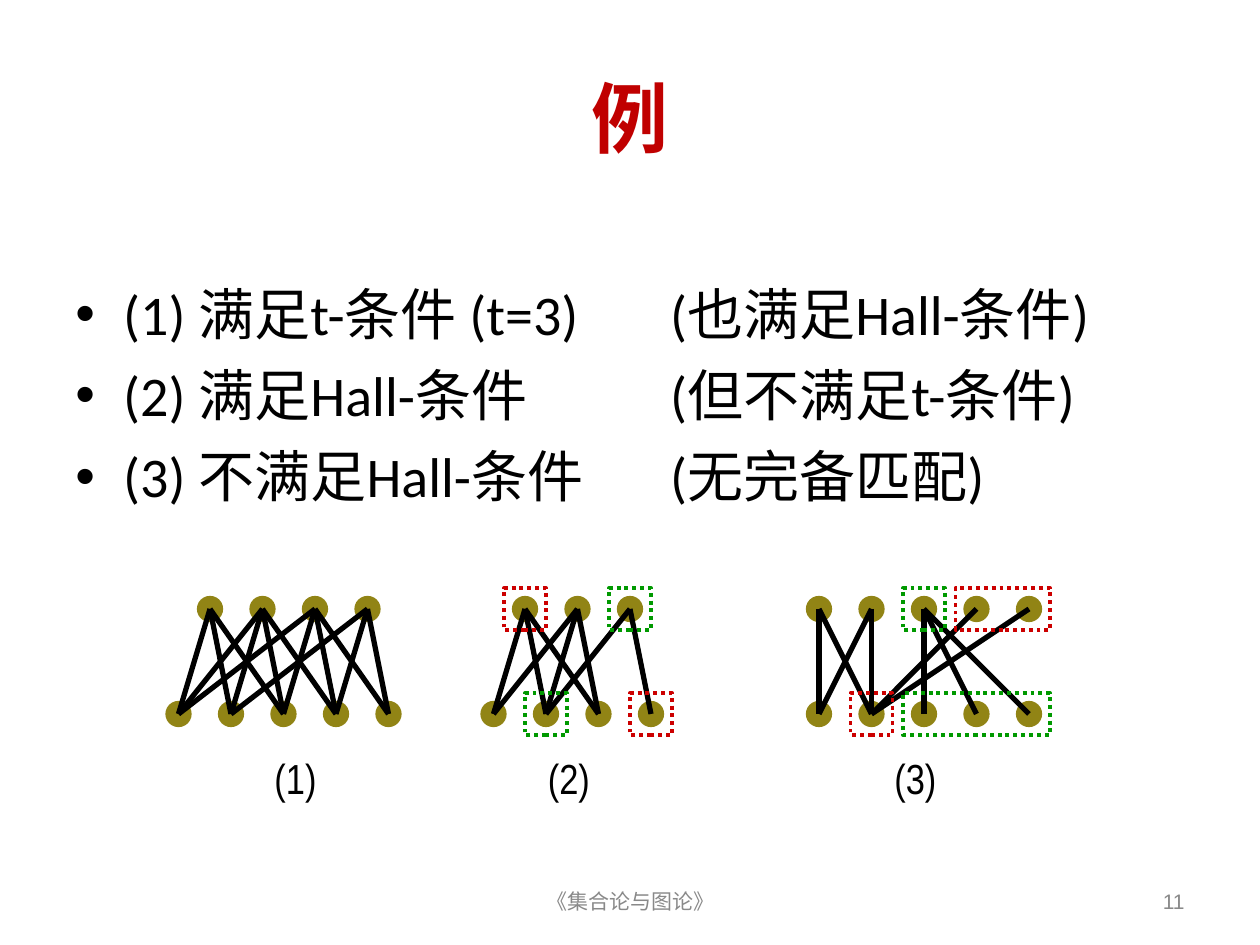
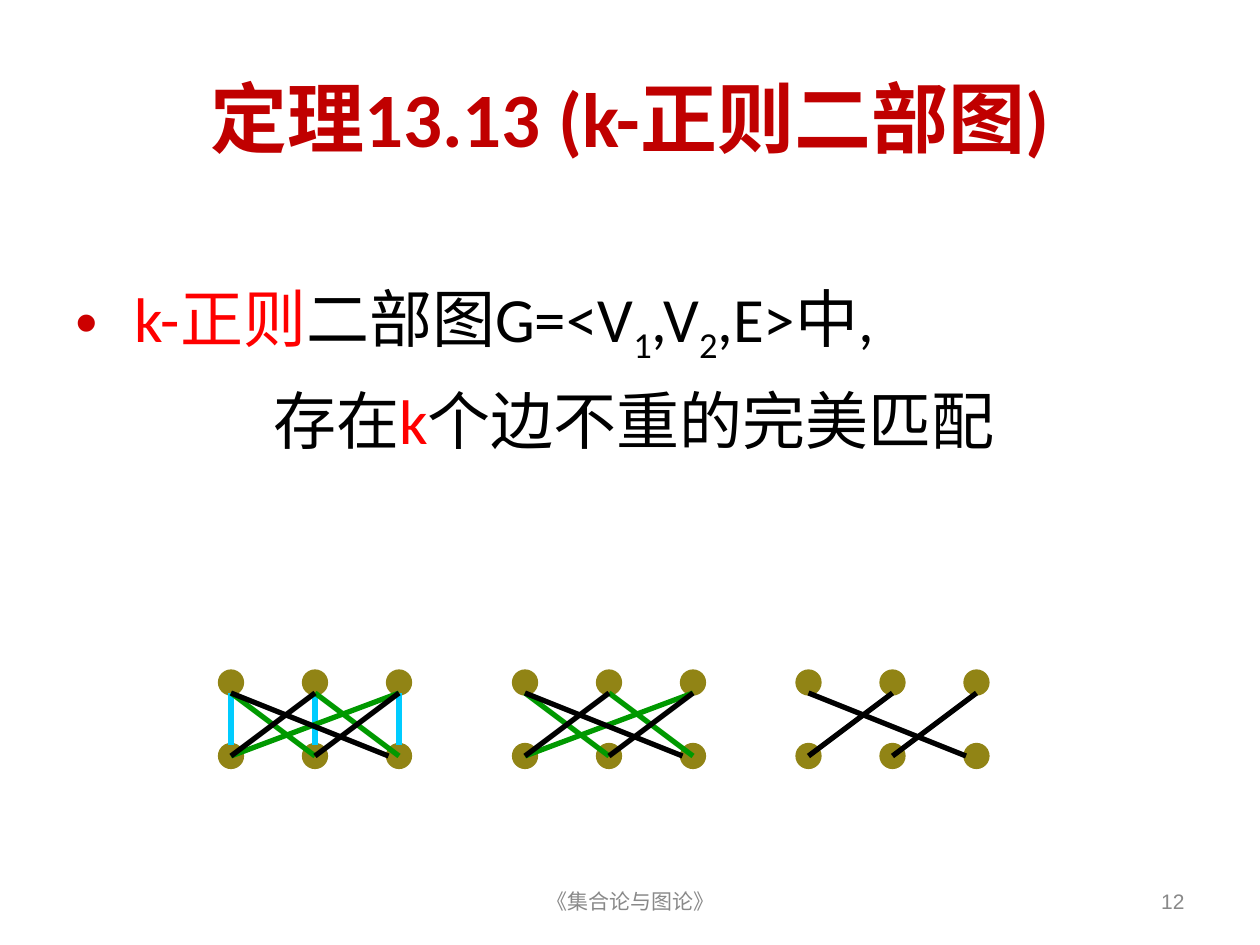
from lxml import etree
from pptx import Presentation
from pptx import util as u
from pptx.dml.color import RGBColor
from pptx.enum import dml, shapes, text
from pptx.oxml import ns

BLACK = RGBColor(0, 0, 0)
CRIMSON = RGBColor(0xC0, 0, 0)
RED = RGBColor(0xCC, 0, 0)
BRIGHT = RGBColor(0xFF, 0, 0)
GREEN = RGBColor(0, 0x99, 0)
CYAN = RGBColor(0, 0xCC, 0xFF)
OLIVE = RGBColor(0x91, 0x84, 0x15)
GRAY = RGBColor(0x89, 0x89, 0x89)

ALIGN = text.PP_ALIGN
MIDDLE = text.MSO_ANCHOR.MIDDLE


def cell(n):
    """Length of n grid cells; the graphs sit on a grid of 1/12 inch."""
    return u.Inches(n / 12)


def add_box(slide, box, anchor=text.MSO_ANCHOR.TOP):
    frame = slide.shapes.add_textbox(*map(u.Inches, box)).text_frame
    frame.word_wrap = True
    frame.vertical_anchor = anchor
    return frame


def add_run(para, words, size, color=BLACK, face="Calibri", bold=False, base=0):
    run = para.add_run()
    run.text = words
    font = run.font
    font.size, font.name, font.bold = u.Pt(size), face, bold
    font.color.rgb = color
    if base:
        font._element.set("baseline", str(base * 1000))


def add_line(slide, box, words, size, align, **style):
    para = add_box(slide, box, MIDDLE).paragraphs[0]
    para.alignment = align
    add_run(para, words, size, **style)


def set_list(para, left, hang=0, color=None, tab=None):
    """Indent a paragraph, with a bullet if a color is given."""
    props = para._p.get_or_add_pPr()
    props.set("marL", str(u.Inches(left)))
    props.set("indent", str(-u.Inches(hang)))

    def add(parent, tag, **attrs):
        return etree.SubElement(parent, ns.qn(tag), **attrs)

    if color is None:
        add(props, "a:buNone")
    else:
        add(add(props, "a:buClr"), "a:srgbClr", val=str(color))
        add(props, "a:buFont", typeface="Arial")
        add(props, "a:buChar", char="•")
    if tab:
        add(add(props, "a:tabLst"), "a:tab", pos=str(u.Inches(tab)), algn="l")


def add_frame(deck, title, number):
    """Start a slide with its title, footer and page number."""
    slide = deck.slides.add_slide(deck.slide_layouts[6])
    add_line(slide, (0.5, 0.3, 9, 1.25), title, 44, ALIGN.CENTER,
             color=CRIMSON, bold=True)
    foot = dict(color=GRAY, face="Arial")
    add_line(slide, (3.42, 6.95, 3.17, 0.4), "《集合论与图论》", 12,
             ALIGN.CENTER, **foot)
    add_line(slide, (7.17, 6.95, 2.33, 0.4), str(number), 12,
             ALIGN.RIGHT, **foot)
    return slide


def add_dots(slide, left, y, count, step):
    """Draw a row of nodes, the first one centred on (left, y)."""
    for i in range(count):
        dot = slide.shapes.add_shape(
            shapes.MSO_SHAPE.OVAL, cell(left + i * step - 1), cell(y - 1),
            cell(2), cell(2))
        dot.shadow.inherit = False
        dot.fill.solid()
        dot.fill.fore_color.rgb = OLIVE
        dot.line.color.rgb = OLIVE
        dot.line.width = u.Pt(3)


def add_edge(slide, start, end, color=BLACK):
    edge = slide.shapes.add_connector(
        shapes.MSO_CONNECTOR.STRAIGHT, *map(cell, start + end))
    edge.line.color.rgb = color
    edge.line.width = u.Pt(3)
    etree.SubElement(edge._element.spPr, ns.qn("a:effectLst"))


def add_mark(slide, x, y, width, color):
    """Frame a row of nodes whose first centre is (x, y)."""
    mark = slide.shapes.add_shape(
        shapes.MSO_SHAPE.RECTANGLE, cell(x - 2), cell(y - 2),
        cell(width + 4), cell(4))
    mark.shadow.inherit = False
    mark.fill.background()
    mark.line.color.rgb = color
    mark.line.width = u.Pt(2.25)
    mark.line.dash_style = dml.MSO_LINE.ROUND_DOT


def add_graph(slide, left, shift, links, count, marks, label, middle):
    """Draw a two-row graph; links lists the lower ends for each upper node."""
    step, rows = 5, ((left + shift, 58), (left, 68))
    for (x, y), size in zip(rows, (len(links), count)):
        add_dots(slide, x, y, size, step)
    (upper, top), (lower, low) = rows
    for i, ends in enumerate(links):
        for j in ends:
            add_edge(slide, (upper + i * step, top), (lower + j * step, low))
    for row, first, last, color in marks:
        x, y = rows[row]
        add_mark(slide, x + first * step, y, (last - first) * step, color)
    para = add_box(slide, (middle, 5.92, 0.75, 0.5)).paragraphs[0]
    add_run(para, label, 24, face="Arial Narrow")


def add_cases(deck):
    slide = add_frame(deck, "例", 11)
    body = add_box(slide, (0.5, 2.17, 9, 2.13))
    cases = (("(1) 满足t-条件 (t=3)", "(也满足Hall-条件)"),
             ("(2) 满足Hall-条件", "(但不满足t-条件)"),
             ("(3) 不满足Hall-条件", "(无完备匹配)"))
    for i, pair in enumerate(cases):
        para = body.add_paragraph() if i else body.paragraphs[0]
        set_list(para, 0.38, 0.38, BLACK, tab=4.72)
        para.space_before = u.Pt(8 if i else 0)
        add_run(para, "\t".join(pair), 32)

    add_graph(slide, 17, 3, ((0, 1, 2), (0, 1, 2, 3), (0, 2, 3, 4), (1, 3, 4)),
              5, (), "(1)", 2.08)
    add_graph(slide, 47, 3, ((0, 1, 2), (0, 1, 2), (1, 3)), 4,
              ((0, 0, 0, RED), (0, 2, 2, GREEN),
               (1, 1, 1, GREEN), (1, 3, 3, RED)), "(2)", 4.25)
    add_graph(slide, 78, 0, ((0, 1), (0, 1), (2, 3, 4), (1,), (1,)), 5,
              ((0, 2, 2, GREEN), (0, 3, 4, RED),
               (1, 1, 1, RED), (1, 2, 4, GREEN)), "(3)", 7)


def add_matching(slide, left, turn, color):
    """Join upper node i to lower node i + turn, counted round the three."""
    step = 8
    for i in range(3):
        j = (i + turn) % 3
        x, y = left + j * step, 72
        if turn == 0:
            y -= 1
        elif j - i == 2:
            x -= 1
        add_edge(slide, (left + i * step, 66), (x, y), color)


def add_theorem(deck):
    slide = add_frame(deck, "定理13.13 (k-正则二部图)", 12)
    body = add_box(slide, (0.5, 2.17, 9, 4.17))
    para = body.paragraphs[0]
    set_list(para, 0.47, 0.47, RED)
    para.space_before = u.Pt(0)
    add_run(para, "k-正则", 36, BRIGHT)
    for words, base in (("二部图G=<V", 0), ("1", -25), (",V", 0),
                        ("2", -25), (",E>中,", 0)):
        add_run(para, words, 36, base=base)
    para = body.add_paragraph()
    set_list(para, 1.57)
    para.space_before = u.Pt(9)
    for words, color in (("存在", BLACK), ("k", BRIGHT),
                         ("个边不重的完美匹配", BLACK)):
        add_run(para, words, 36, color)

    turns = ((0, CYAN), (1, GREEN), (2, BLACK))
    for skip, left in enumerate((22, 50, 77)):
        for y in (65, 72):
            add_dots(slide, left, y, 3, 8)
        for turn, color in turns[skip:]:
            add_matching(slide, left, turn, color)


def main():
    deck = Presentation()
    deck.slide_width, deck.slide_height = u.Inches(10), u.Inches(7.5)
    add_cases(deck)
    add_theorem(deck)
    deck.save("out.pptx")


if __name__ == "__main__":
    main()
